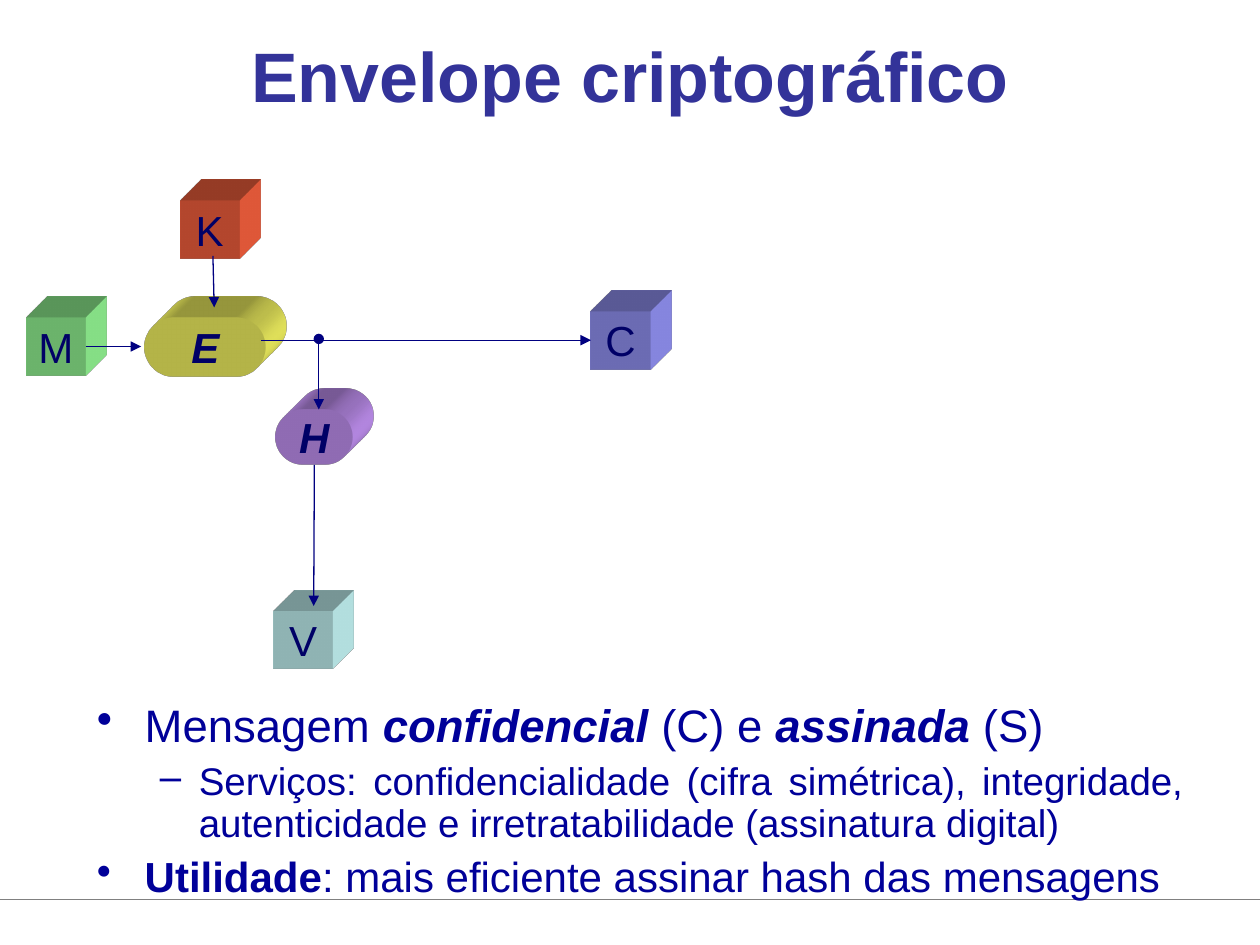
from dataclasses import dataclass

from lxml import etree
from pptx import Presentation
from pptx import util as u
from pptx.dml.color import RGBColor
from pptx.enum import shapes, text
from pptx.oxml import parse_xml
from pptx.oxml.ns import qn

NS = 'xmlns:a="http://schemas.openxmlformats.org/drawingml/2006/main"'


@dataclass(frozen=True)
class Theme:
    font: str = "Arial"
    title: str = "333399"
    body: str = "000099"
    label: str = "000066"
    arrow: str = "000080"
    rule: str = "808080"
    title_size: int = 40
    lead_size: int = 26
    detail_size: int = 22
    label_size: int = 24


def add_run(paragraph, words, *, size, color, font, bold=False, italic=False):
    run = paragraph.add_run()
    run.text = words
    run.font.size = u.Pt(size)
    run.font.name = font
    run.font.color.rgb = RGBColor.from_string(color)
    run.font.bold = bold
    run.font.italic = italic


class SlideBuilder:
    def __init__(self, slide, theme):
        self.slide = slide
        self.theme = theme

    def title(self, words, left, top, width, height):
        shape = self.slide.shapes.title
        shape.left, shape.top = u.Inches(left), u.Inches(top)
        shape.width, shape.height = u.Inches(width), u.Inches(height)
        frame = shape.text_frame
        frame.auto_size = text.MSO_AUTO_SIZE.NONE
        frame.vertical_anchor = text.MSO_ANCHOR.MIDDLE
        paragraph = frame.paragraphs[0]
        paragraph.alignment = text.PP_ALIGN.CENTER
        add_run(paragraph, words, size=self.theme.title_size,
                color=self.theme.title, font=self.theme.font, bold=True)

    def block(self, label, left, top, width, height, fill, rounded=False):
        """Extruded block; the rounded ones are operations."""
        kind = shapes.MSO_SHAPE.ROUNDED_RECTANGLE if rounded else shapes.MSO_SHAPE.RECTANGLE
        shape = self.slide.shapes.add_shape(
            kind, u.Inches(left), u.Inches(top), u.Inches(width), u.Inches(height))
        if rounded:
            shape.adjustments[0] = 0.5
        shape.fill.solid()
        shape.fill.fore_color.rgb = RGBColor.from_string(fill)
        shape.line.fill.background()
        shape.shadow.inherit = False
        properties = shape._element.spPr
        properties.append(parse_xml(
            f'<a:scene3d {NS}><a:camera prst="legacyObliqueTopRight"/>'
            '<a:lightRig rig="legacyFlat3" dir="b"/></a:scene3d>'))
        properties.append(parse_xml(
            f'<a:sp3d {NS} extrusionH="430200" prstMaterial="legacyMatte">'
            '<a:bevelT w="13500" h="13500" prst="angle"/>'
            '<a:bevelB w="13500" h="13500" prst="angle"/>'
            f'<a:extrusionClr><a:srgbClr val="{fill}"/></a:extrusionClr></a:sp3d>'))
        frame = shape.text_frame
        frame.word_wrap = False
        frame.vertical_anchor = text.MSO_ANCHOR.MIDDLE
        paragraph = frame.paragraphs[0]
        paragraph.alignment = text.PP_ALIGN.CENTER
        add_run(paragraph, label, size=self.theme.label_size, color=self.theme.label,
                font=self.theme.font, bold=rounded, italic=rounded)
        return shape

    def line(self, start, end, color, head=None, tail=None):
        connector = self.slide.shapes.add_connector(
            shapes.MSO_CONNECTOR.STRAIGHT, *map(u.Inches, start + end))
        connector.line.color.rgb = RGBColor.from_string(color)
        connector.line.width = u.Pt(0.75)
        outline = connector.line._get_or_add_ln()
        for tag, kind in (("a:headEnd", head), ("a:tailEnd", tail)):
            if kind:
                etree.SubElement(outline, qn(tag), type=kind)
        etree.SubElement(connector._element.spPr, qn("a:effectLst"))
        return connector

    def arrow(self, start, end, head=None):
        return self.line(start, end, self.theme.arrow, head=head, tail="triangle")

    def bullets(self, items, left, top, width, height):
        box = self.slide.shapes.add_textbox(
            u.Inches(left), u.Inches(top), u.Inches(width), u.Inches(height))
        frame = box.text_frame
        frame.word_wrap = True
        for index, (level, size, alignment, runs) in enumerate(items):
            paragraph = frame.paragraphs[0] if index == 0 else frame.add_paragraph()
            margin, hanging, mark = ((0.38, 0.38, "•"), (0.81, 0.31, "–"))[level]
            paragraph.level = level
            paragraph.alignment = alignment
            paragraph.line_spacing = 0.9
            if index:
                paragraph.space_before = u.Pt(6)
            properties = paragraph._p.get_or_add_pPr()
            properties.set("marL", str(u.Inches(margin)))
            properties.set("indent", str(-u.Inches(hanging)))
            etree.SubElement(properties, qn("a:buChar"), char=mark)
            for words, emphasis in runs:
                add_run(paragraph, words, size=size, color=self.theme.body,
                        font=self.theme.font, **emphasis)


def main():
    presentation = Presentation()
    presentation.slide_width, presentation.slide_height = u.Inches(10), u.Inches(7.5)
    slide = presentation.slides.add_slide(presentation.slide_layouts[5])
    theme = Theme()
    builder = SlideBuilder(slide, theme)

    # Footer rule and title
    builder.line((0, 7.14), (10, 7.14), theme.rule)
    builder.title("Envelope criptográfico", 0.75, -0.03, 8.5, 1.25)

    # Data cubes share one size
    cubes = {
        label: builder.block(label, left, top, 0.47, 0.46, fill)
        for label, left, top, fill in (
            ("K", 1.43, 1.59, "FF6541"),
            ("M", 0.21, 2.52, "99FF99"),
            ("C", 4.69, 2.47, "9999FF"),
            ("V", 2.17, 4.85, "CCFFFF"),
        )
    }

    # Operations: encryption and hash
    builder.block("E", 1.15, 2.52, 0.96, 0.47, "FFFF66", rounded=True)
    hash_block = builder.block("H", 2.19, 3.25, 0.61, 0.44, "CC99FF", rounded=True)

    # Data flow
    builder.arrow((1.69, 2.03), (1.7, 2.44))
    builder.arrow((0.68, 2.75), (1.12, 2.75)).begin_connect(cubes["M"], 3)
    builder.arrow((2.07, 2.7), (4.69, 2.7)).end_connect(cubes["C"], 1)
    builder.arrow((2.53, 2.69), (2.53, 3.25), head="oval")
    builder.arrow((2.49, 3.7), (2.49, 4.81)).begin_connect(hash_block, 2)

    # Explanation
    strong = {"bold": True, "italic": True}
    justified = text.PP_ALIGN.JUSTIFY
    builder.bullets([
        (0, theme.lead_size, justified, [
            ("Mensagem ", {}), ("confidencial", strong), (" (C) e ", {}),
            ("assinada ", strong), ("(S)", {})]),
        (1, theme.detail_size, justified, [
            ("Serviços: confidencialidade (cifra simétrica), integridade, "
             "autenticidade e irretratabilidade (assinatura digital)", {})]),
        (0, theme.label_size, text.PP_ALIGN.LEFT, [
            ("Utilidade", {"bold": True}),
            (": mais eficiente assinar hash das mensagens", {})]),
    ], 0.67, 5.53, 8.82, 1.42)

    presentation.save("out.pptx")


if __name__ == "__main__":
    main()
